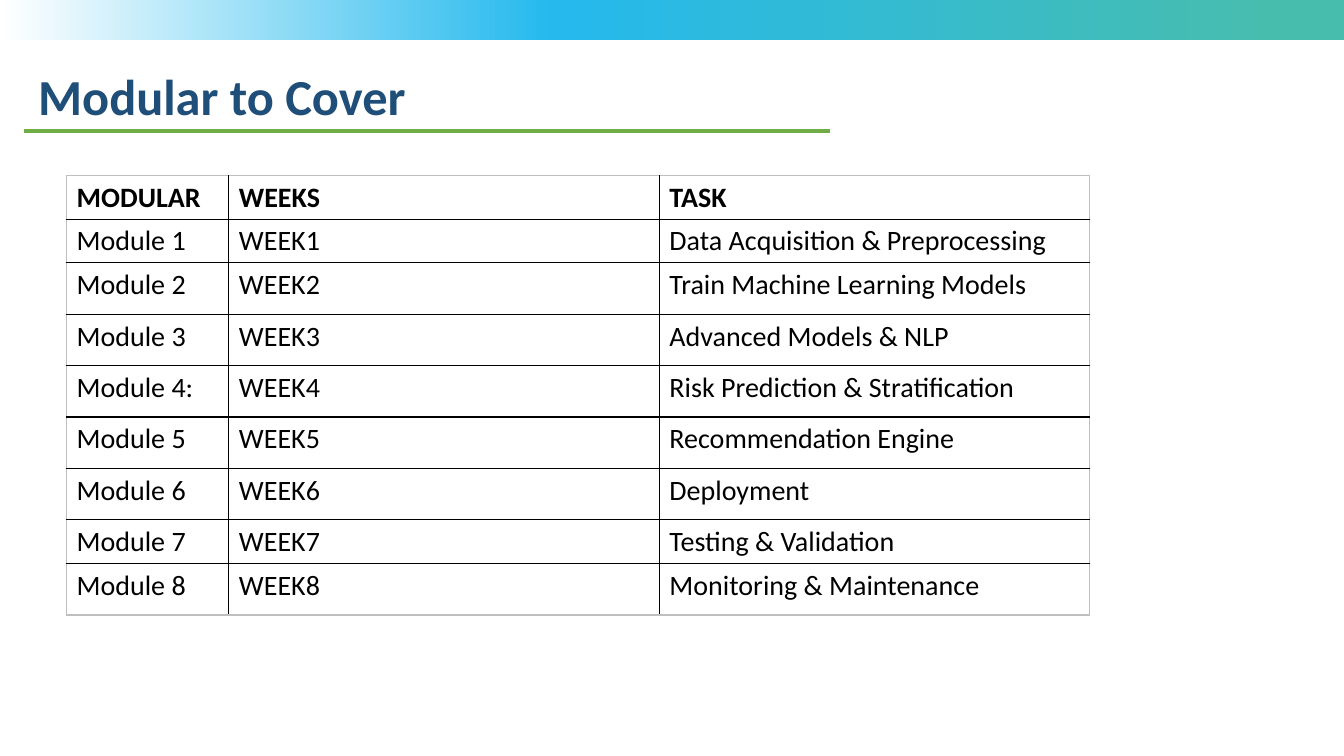
from copy import deepcopy

from lxml.etree import SubElement
from pptx import Presentation
from pptx.dml.color import RGBColor
from pptx.enum.shapes import MSO_CONNECTOR as Line, MSO_SHAPE as Shape
from pptx.enum.text import MSO_ANCHOR as Anchor
from pptx.oxml.ns import qn
from pptx.util import Inches, Pt

FONT = "Calibri"
INK, EDGE = "000000", "BFBFBF"
HEADS = ["MODULAR", "WEEKS", "TASK"]
TASKS = [
    "Data Acquisition & Preprocessing",
    "Train Machine Learning Models",
    "Advanced Models & NLP",
    "Risk Prediction & Stratification",
    "Recommendation Engine",
    "Deployment",
    "Testing & Validation",
    "Monitoring & Maintenance",
]
WIDTHS = [1.61, 4.27, 4.27]
TALL, SHORT = 0.51, 0.43
SHORT_ROWS = {0, 1, 7}


def color(code):
    return RGBColor.from_string(code)


def write(frame, text, size=20, ink=INK, bold=False):
    run = frame.paragraphs[0].add_run()
    run.text = text
    font = run.font
    font.name, font.size, font.bold = FONT, Pt(size), bold
    font.color.rgb = color(ink)


def band(slide, left, top, width, height):
    """Draw the top strip, its gradient running from right to left."""
    strip = slide.shapes.add_shape(
        Shape.RECTANGLE, Inches(left), Inches(top), Inches(width), Inches(height))
    strip.shadow.inherit = False
    strip.line.fill.background()
    fill = strip.fill
    fill.gradient()
    fill.gradient_angle = 180
    stops = strip._element.spPr.find(".//" + qn("a:gsLst"))
    stops.append(deepcopy(stops[-1]))
    marks = [(0.05, "47BDAE"), (0.59, "25B9ED"), (1, "FFFFFF")]
    for stop, (place, code) in zip(fill.gradient_stops, marks):
        stop.position = place
        stop.color.rgb = color(code)


def title(slide, left, top, width, height):
    """Place the heading and the green rule below it."""
    box = slide.shapes.add_textbox(
        Inches(left), Inches(top), Inches(width), Inches(height))
    box.text_frame.word_wrap = True
    write(box.text_frame, "Modular to Cover", size=36, ink="1F4E79", bold=True)
    start, base = left - 0.04, top + 0.7
    rule = slide.shapes.add_connector(
        Line.STRAIGHT, Inches(start), Inches(base), Inches(start + 7.99), Inches(base))
    rule.line.color.rgb = color("70AD47")
    rule.line.width = Pt(2.25)
    SubElement(rule._element.spPr, qn("a:effectLst"))


def border(cell, sides):
    """Draw the cell's edges, given as a colour for each of L, R, T and B."""
    props = cell._tc.get_or_add_tcPr()
    for spot, (side, code) in enumerate(sides.items()):
        edge = SubElement(props, qn(f"a:ln{side}"), w=str(Pt(1)))
        fill = SubElement(edge, qn("a:solidFill"))
        SubElement(fill, qn("a:srgbClr"), val=code)
        props.insert(spot, edge)


def plan(slide, left, top):
    """Place the table of modules, weeks and tasks."""
    rows = [HEADS]
    for num, task in enumerate(TASKS, 1):
        colon = ":" if num == 4 else ""
        rows.append([f"Module {num}{colon}", f"WEEK{num}", task])
    highs = [SHORT if i in SHORT_ROWS else TALL for i in range(len(rows))]
    grid = slide.shapes.add_table(
        len(rows), len(HEADS), Inches(left), Inches(top),
        Inches(sum(WIDTHS)), Inches(sum(highs))).table
    grid.horz_banding = False
    for col, width in zip(grid.columns, WIDTHS):
        col.width = Inches(width)
    last_row, last_col = len(rows) - 1, len(HEADS) - 1
    for r, texts in enumerate(rows):
        grid.rows[r].height = Inches(highs[r])
        for c, text in enumerate(texts):
            cell = grid.cell(r, c)
            cell.fill.background()
            cell.vertical_anchor = Anchor.TOP
            write(cell.text_frame, text, bold=r == 0)
            outer = {"L": c == 0, "R": c == last_col, "T": r == 0, "B": r == last_row}
            border(cell, {s: EDGE if out else INK for s, out in outer.items()})


def main():
    deck = Presentation()
    deck.slide_width, deck.slide_height = Inches(13.33), Inches(7.5)
    slide = deck.slides.add_slide(deck.slide_layouts[6])
    band(slide, 0, 0, 13.33, 0.4)
    title(slide, 0.28, 0.6, 11.62, 0.71)
    plan(slide, 0.66, 1.74)
    deck.save("out.pptx")


if __name__ == "__main__":
    main()
